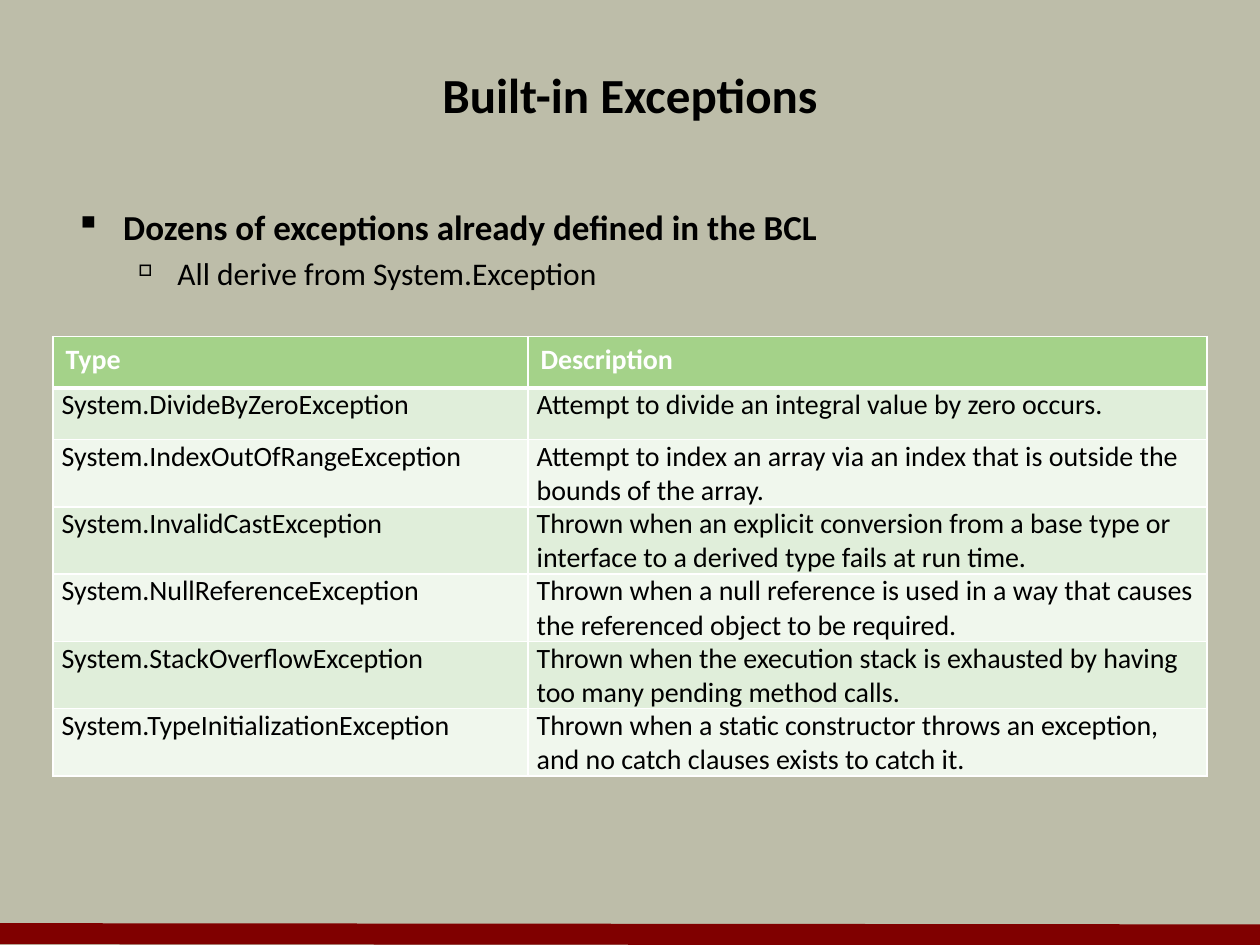
"""Build the slide that lists the built-in exceptions."""
import pptx
import pptx.dml.color
import pptx.enum.shapes
import pptx.enum.text
import pptx.oxml
import pptx.oxml.ns
import pptx.util
from lxml import etree

TITLE = "Built-in Exceptions"
BULLETS = [
    {"text": "Dozens of exceptions already defined in the BCL", "mark": "▪",
     "mark_size": 100, "margin": 0.38, "hang": 0.38, "style": "point", "bold": True, "before": 0},
    {"text": "All derive from System.Exception", "mark": "□",
     "mark_size": 50, "margin": 0.81, "hang": 0.31, "style": "subpoint", "bold": False, "before": 3.6},
]
ROWS = [
    ("Type", "Description"),
    ("System.DivideByZeroException", "Attempt to divide an integral value by zero occurs."),
    ("System.IndexOutOfRangeException",
     "Attempt to index an array via an index that is outside the bounds of the array."),
    ("System.InvalidCastException",
     "Thrown when an explicit conversion from a base type or interface to a derived type fails at run time."),
    ("System.NullReferenceException",
     "Thrown when a null reference is used in a way that causes the referenced object to be required."),
    ("System.StackOverflowException",
     "Thrown when the execution stack is exhausted by having too many pending method calls."),
    ("System.TypeInitializationException",
     "Thrown when a static constructor throws an exception, and no catch clauses exists to catch it."),
]
THEME = {
    "font": "Calibri",
    "colors": {"background": "BDBDA9", "text": "000000", "footer": "800000", "light": "FFFFFF",
               "header": "A4D289", "bands": ("E0EEDA", "F0F7ED")},
    "sizes": {"title": 28, "point": 20, "subpoint": 18, "table": 16},
}
COLORS = THEME["colors"]
WIDTH, HEIGHT = 10, 7.5
MARGIN = 0.05 * WIDTH
TABLE_LEFT, TABLE_TOP = 0.42, 2.67
COLUMN_WIDTHS = (3.77, 5.39)
ROW_HEIGHT = 0.41


def rgb(value):
    """Return a colour object for a hex value."""
    return pptx.dml.color.RGBColor.from_string(value)


def style_paragraph(paragraph, size, color, bold):
    """Format every run of a paragraph."""
    for run in paragraph.runs:
        run.font.name = THEME["font"]
        run.font.size = pptx.util.Pt(THEME["sizes"][size])
        run.font.bold = bold
        run.font.color.rgb = rgb(color)


def add_text_frame(slide, top, height, anchor):
    """Add a wrapping text box between the side margins."""
    box = slide.shapes.add_textbox(*map(pptx.util.Inches, (MARGIN, top, WIDTH - 2 * MARGIN, height)))
    box.text_frame.word_wrap = True
    box.text_frame.vertical_anchor = anchor
    return box.text_frame


def add_footer_line(slide):
    """Draw the thick line along the bottom edge."""
    points = (0, 7.41, WIDTH, 7.42)
    line = slide.shapes.add_connector(pptx.enum.shapes.MSO_CONNECTOR.STRAIGHT,
                                      *map(pptx.util.Inches, points))
    line.line.color.rgb = rgb(COLORS["footer"])
    line.line.width = pptx.util.Pt(12)
    etree.SubElement(line._element.spPr, pptx.oxml.ns.qn("a:effectLst"))


def add_title(slide):
    """Add the centred title."""
    text_frame = add_text_frame(slide, 0.33, 0.83, pptx.enum.text.MSO_ANCHOR.MIDDLE)
    text_frame.text = TITLE
    paragraph = text_frame.paragraphs[0]
    paragraph.alignment = pptx.enum.text.PP_ALIGN.CENTER
    style_paragraph(paragraph, "title", COLORS["text"], True)


def add_bullets(slide):
    """Add the two-level bullet list."""
    text_frame = add_text_frame(slide, 1.58, 1, pptx.enum.text.MSO_ANCHOR.TOP)
    text_frame.text = "\n".join(bullet["text"] for bullet in BULLETS)
    for level, (paragraph, bullet) in enumerate(zip(text_frame.paragraphs, BULLETS)):
        paragraph.level = level
        paragraph.space_before = pptx.util.Pt(bullet["before"])
        properties = paragraph._p.get_or_add_pPr()
        properties.set("marL", str(pptx.util.Inches(bullet["margin"])))
        properties.set("indent", str(-pptx.util.Inches(bullet["hang"])))
        etree.SubElement(properties, pptx.oxml.ns.qn("a:buSzPct"), val=str(bullet["mark_size"] * 1000))
        etree.SubElement(properties, pptx.oxml.ns.qn("a:buChar"), char=bullet["mark"])
        style_paragraph(paragraph, bullet["style"], COLORS["text"], bullet["bold"])


def add_cell_border(cell, side, width):
    """Draw one border of a cell."""
    properties = cell._tc.get_or_add_tcPr()
    line = etree.SubElement(properties, pptx.oxml.ns.qn("a:ln" + side), w=str(pptx.util.Pt(width)))
    fill = etree.SubElement(line, pptx.oxml.ns.qn("a:solidFill"))
    etree.SubElement(fill, pptx.oxml.ns.qn("a:srgbClr"), val=COLORS["light"])


def format_cell(cell, row):
    """Give a cell its borders, fill, margins and type."""
    header = row == 0
    heavy_sides = {0: "B", 1: "T"}
    for side in "LRTB":
        add_cell_border(cell, side, 3 if heavy_sides.get(row) == side else 1)
    cell.fill.solid()
    cell.fill.fore_color.rgb = rgb(COLORS["header"] if header else COLORS["bands"][(row - 1) % 2])
    if not header:
        cell.margin_left = cell.margin_right = pptx.util.Inches(0.07)
        cell.margin_top = cell.margin_bottom = 0
    paragraph = cell.text_frame.paragraphs[0]
    paragraph.alignment = pptx.enum.text.PP_ALIGN.LEFT
    style_paragraph(paragraph, "table", COLORS["light" if header else "text"], header)


def add_exception_table(slide):
    """Add the table of exception types."""
    frame = (TABLE_LEFT, TABLE_TOP, sum(COLUMN_WIDTHS), ROW_HEIGHT * len(ROWS))
    table = slide.shapes.add_table(len(ROWS), len(COLUMN_WIDTHS), *map(pptx.util.Inches, frame)).table
    for column, width in zip(table.columns, COLUMN_WIDTHS):
        column.width = pptx.util.Inches(width)
    for row, texts in enumerate(ROWS):
        table.rows[row].height = pptx.util.Inches(ROW_HEIGHT)
        for column, text in enumerate(texts):
            cell = table.cell(row, column)
            cell.text_frame.text = text
            format_cell(cell, row)


def main():
    """Build and save the presentation."""
    presentation = pptx.Presentation()
    presentation.slide_width = pptx.util.Inches(WIDTH)
    presentation.slide_height = pptx.util.Inches(HEIGHT)
    slide = presentation.slides.add_slide(presentation.slide_layouts[6])
    slide.background.fill.solid()
    slide.background.fill.fore_color.rgb = rgb(COLORS["background"])
    add_footer_line(slide)
    add_title(slide)
    add_bullets(slide)
    add_exception_table(slide)
    presentation.save("out.pptx")


if __name__ == "__main__":
    main()
